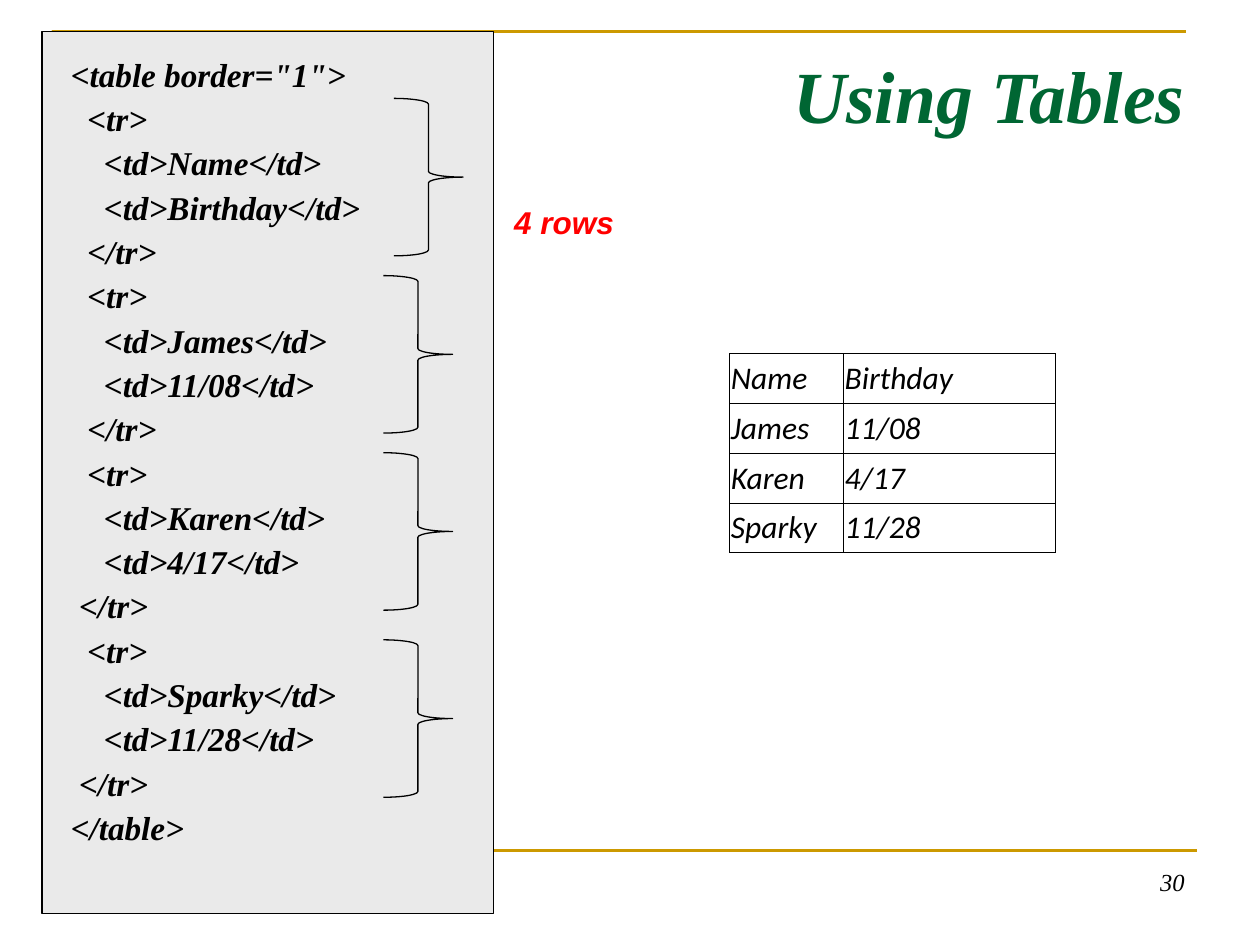
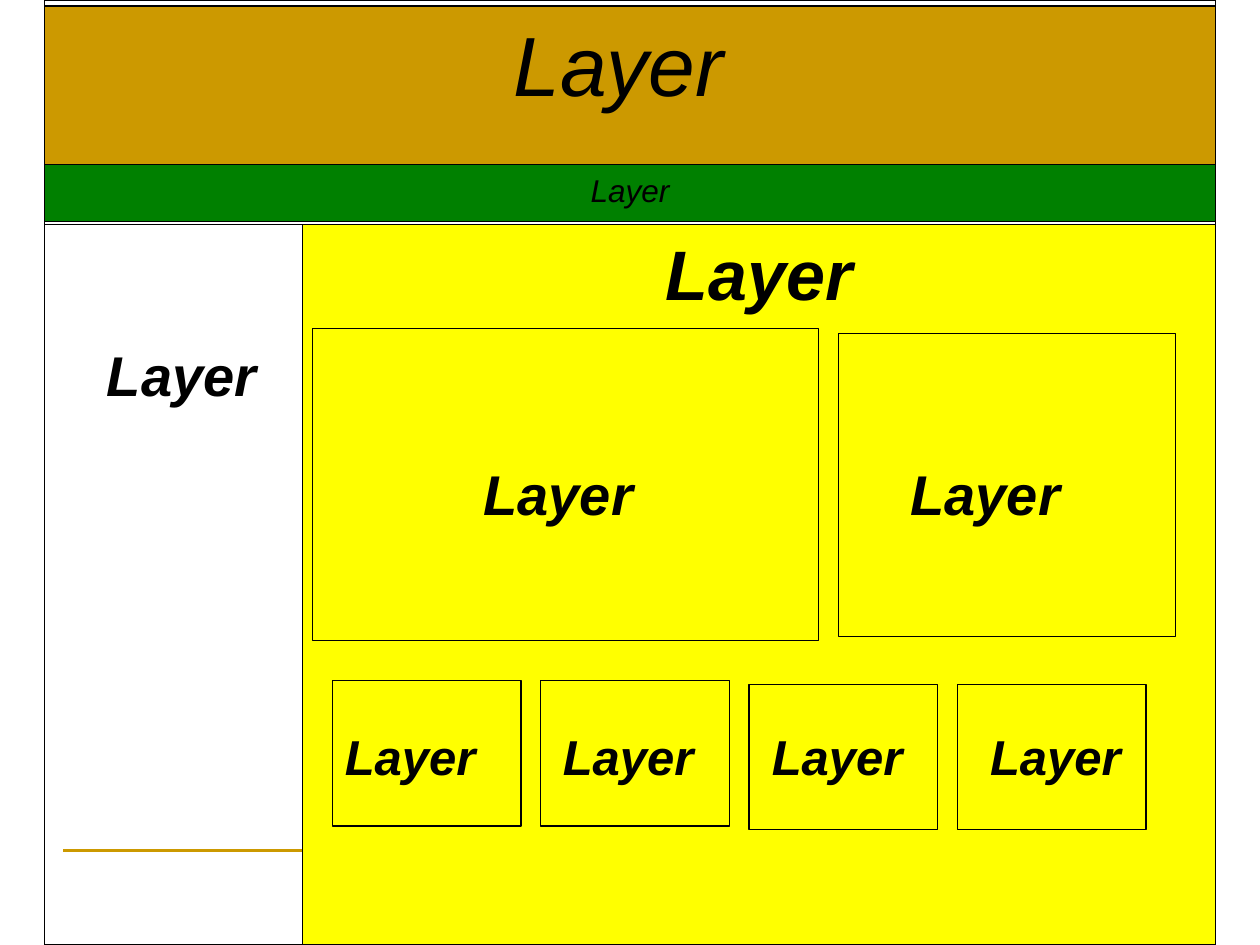
from lxml import etree
from pptx import Presentation
from pptx.dml.color import RGBColor
from pptx.enum.shapes import MSO_CONNECTOR, MSO_SHAPE
from pptx.enum.text import MSO_ANCHOR, PP_ALIGN
from pptx.oxml.ns import qn
from pptx.util import Pt

RECT = MSO_SHAPE.RECTANGLE
BRACE = MSO_SHAPE.RIGHT_BRACE
LINE = MSO_CONNECTOR.STRAIGHT
LEFT, MID, RIGHT = PP_ALIGN.LEFT, PP_ALIGN.CENTER, PP_ALIGN.RIGHT
TOP, CENTRE, BASE = MSO_ANCHOR.TOP, MSO_ANCHOR.MIDDLE, MSO_ANCHOR.BOTTOM

BLACK, GOLD, PINE, RED = "000000", "CC9900", "006633", "FF0000"
GREY, GREEN, YELLOW = "EAEAEA", "008000", "FFFF00"
SERIF, SANS, CELL = "Times New Roman", "Arial", "Calibri"

CODE = """<table border="1">
  <tr>
    <td>Name</td>
    <td>Birthday</td>
  </tr>
  <tr>
    <td>James</td>
    <td>11/08</td>
  </tr>
  <tr>
    <td>Karen</td>
    <td>4/17</td>
 </tr>
  <tr>
    <td>Sparky</td>
    <td>11/28</td>
 </tr>
</table>"""
DATES = [("Name", "Birthday"), ("James", "11/08"),
         ("Karen", "4/17"), ("Sparky", "11/28")]


def color(code):
    return RGBColor.from_string(code)


def place(*box):
    return [Pt(size) for size in box]


def style(frame, size, font, tint=BLACK, bold=True, align=LEFT):
    for para in frame.paragraphs:
        para.alignment = align
        for run in para.runs:
            run.font.size = Pt(size)
            run.font.name = font
            run.font.bold = bold
            run.font.italic = True
            run.font.color.rgb = color(tint)


def add_text(slide, box, text, size, font, wrap=False, anchor=TOP, **look):
    frame = slide.shapes.add_textbox(*place(*box)).text_frame
    frame.word_wrap = wrap
    frame.vertical_anchor = anchor
    frame.text = text
    style(frame, size, font, **look)
    return frame


def add_box(slide, box, fill=None, kind=RECT):
    shape = slide.shapes.add_shape(kind, *place(*box))
    shape.shadow.inherit = False
    if fill:
        shape.fill.solid()
        shape.fill.fore_color.rgb = color(fill)
    else:
        shape.fill.background()
    shape.line.color.rgb = color(BLACK)
    shape.line.width = Pt(0.75)
    return shape


def add_layer(slide, box, fill, text, size, bold=False):
    frame = add_box(slide, box, fill).text_frame
    frame.vertical_anchor = TOP
    frame.text = text
    style(frame, size, SANS, bold=bold, align=MID)


def add_rule(slide):
    rule = slide.shapes.add_connector(LINE, *place(36, 486, 684, 486))
    rule.line.color.rgb = color(GOLD)
    rule.line.width = Pt(1.5)
    etree.SubElement(rule._element.spPr, qn("a:effectLst"))


def add_frame(slide):
    path = slide.shapes.build_freeform(*place(30, 66))
    path.add_line_segments([place(30, 18), place(678, 18)], close=False)
    shape = path.convert_to_shape()
    shape.shadow.inherit = False
    shape.fill.background()
    shape.line.color.rgb = color(GOLD)
    shape.line.width = Pt(1.5)


def add_edge(cell, side, width):
    props = cell._tc.get_or_add_tcPr()
    edge = etree.SubElement(props, qn("a:" + side), w=str(Pt(width)))
    fill = etree.SubElement(edge, qn("a:solidFill"))
    etree.SubElement(fill, qn("a:srgbClr"), val=BLACK)


def add_grid(slide, box, rows, widths):
    grid = slide.shapes.add_table(len(rows), len(widths), *place(*box)).table
    grid.first_row = grid.horz_banding = False
    for col, width in zip(grid.columns, widths):
        col.width = Pt(width)
    last_row, last_col = len(rows) - 1, len(widths) - 1
    for i, row in enumerate(rows):
        for j, text in enumerate(row):
            cell = grid.cell(i, j)
            cell.margin_left = cell.margin_right = Pt(0.9)
            cell.vertical_anchor = BASE
            cell.text = text
            style(cell.text_frame, 18, CELL, bold=False)
            cell.text_frame.paragraphs[0].line_spacing = 0.98
            outer = {"lnL": j == 0, "lnR": j == last_col,
                     "lnT": i == 0, "lnB": i == last_row}
            for side, edge in outer.items():
                add_edge(cell, side, 0.34 if edge else 0.11)
            cell.fill.background()


def add_code(slide):
    add_box(slide, (24, 18, 258, 504), GREY)
    frame = add_text(slide, (33.4, 30, 638.6, 330), CODE, 19, SERIF, wrap=True)
    for i, para in enumerate(frame.paragraphs):
        para.line_spacing = 0.9
        if i:
            para.space_before = Pt(4.8)
    for left, top in ((225, 56.2), (219, 157.5), (219, 258.7), (219, 365.6)):
        add_box(slide, (left, top, 39.6, 90), kind=BRACE)


def make_tables(slide):
    add_frame(slide)
    add_rule(slide)
    add_text(slide, (516, 492, 168, 37.5), "30", 14, SERIF, wrap=True,
             bold=False, align=RIGHT)
    add_text(slide, (36, 9, 648, 90), "Using Tables", 42, SERIF, wrap=True,
             anchor=CENTRE, tint=PINE, align=RIGHT)
    add_code(slide)
    add_text(slide, (286.7, 112.5, 72, 29), "4 rows", 18, SANS, tint=RED)
    add_grid(slide, (416.8, 202, 186.2, 113.6), DATES, (65, 121.2))


def make_layers(slide):
    left, width = 25.5, 669
    add_rule(slide)
    add_box(slide, (left, 0, width, 540))
    add_layer(slide, (left, 3.5, width, 90.5), GOLD, "Layer ", 48)
    add_layer(slide, (left, 94.2, width, 32.3), GREEN, "Layer", 18)
    add_box(slide, (left, 128.2, width, 411.8))
    add_layer(slide, (173, 128.2, 521.5, 411.8), YELLOW, "Layer", 40, bold=True)
    add_box(slide, (178.5, 187.7, 289.3, 178.5))
    add_box(slide, (479, 190.7, 192.8, 173))
    for i, top in enumerate((389, 389, 391, 391)):
        add_box(slide, (190 + 119 * i, top, 107.8, 83))
    for x, y in ((54, 191), (269.2, 259), (513.2, 259)):
        add_text(slide, (x, y, 101, 46), "Layer", 32, SANS)
    for x in (190, 314.6, 434, 558.7):
        add_text(slide, (x, 411.6, 92, 41), "Layer", 28, SANS)


def main():
    deck = Presentation()
    deck.slide_width, deck.slide_height = place(720, 540)
    for make in (make_tables, make_layers):
        make(deck.slides.add_slide(deck.slide_layouts[6]))
    deck.save("out.pptx")


if __name__ == "__main__":
    main()
